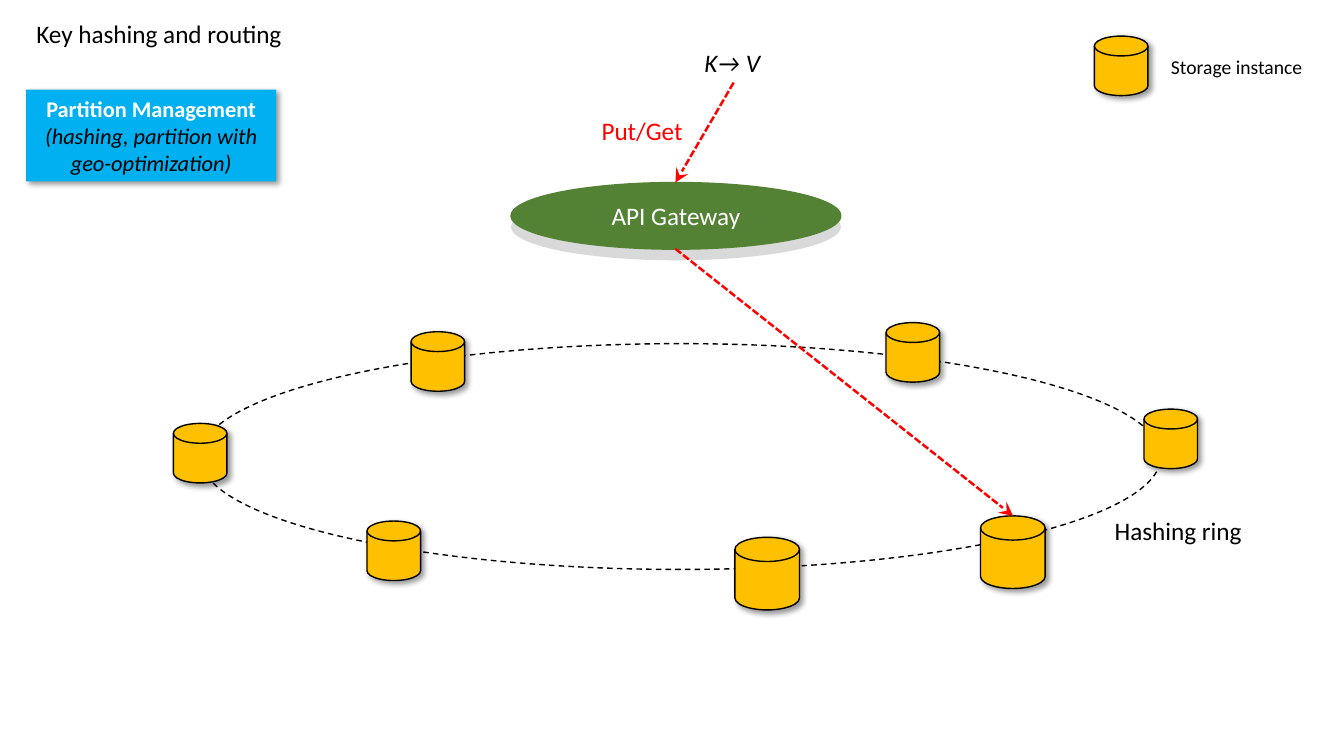
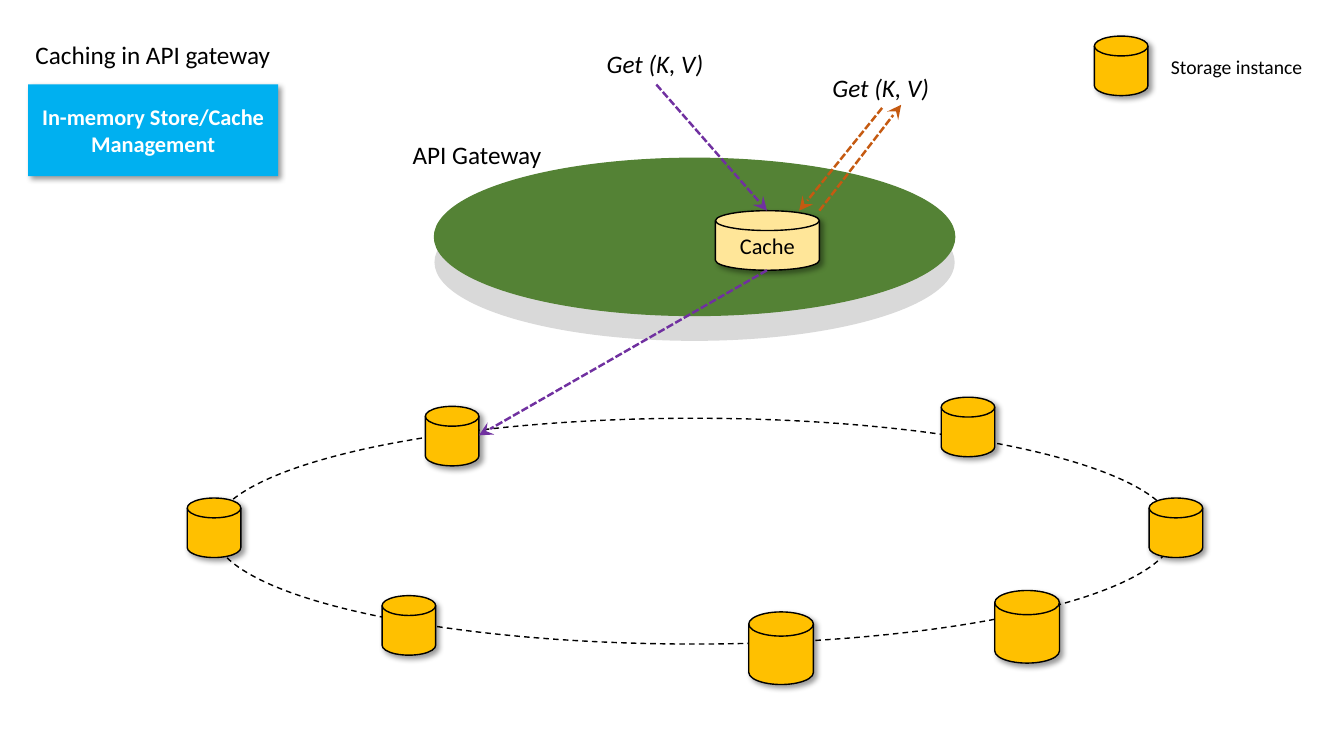
from pptx import Presentation
from pptx.dml.color import RGBColor
from pptx.enum.dml import MSO_LINE
from pptx.enum.shapes import MSO_CONNECTOR, MSO_SHAPE
from pptx.enum.text import MSO_ANCHOR, MSO_AUTO_SIZE, PP_ALIGN
from pptx.oxml import parse_xml
from pptx.oxml.ns import nsdecls, qn
from pptx.util import Cm, Pt

BLACK = RGBColor(0x00, 0x00, 0x00)
WHITE = RGBColor(0xFF, 0xFF, 0xFF)
RED = RGBColor(0xFF, 0x00, 0x00)
PURPLE = RGBColor(0x70, 0x30, 0xA0)
ORANGE = RGBColor(0xC5, 0x5A, 0x11)
GOLD = RGBColor(0xFF, 0xC0, 0x00)
CREAM = RGBColor(0xFF, 0xE6, 0x99)
GREEN = RGBColor(0x54, 0x82, 0x35)
GREY = RGBColor(0xD9, 0xD9, 0xD9)
BLUE = RGBColor(0x00, 0xB0, 0xF0)

FONT = "Calibri"
DISK = MSO_SHAPE.FLOWCHART_MAGNETIC_DISK
SMALL_DISK = (1.35, 1.5)
LARGE_DISK = (1.63, 1.83)
RING_SIZE = (24.23, 5.69)
BOX_SIZE = (6.3, 2.31)
LABEL_HEIGHT = 1.02
SHADOW = (
    f'<a:outerShdw {nsdecls("a")} blurRad="50800" dist="38100" dir="2700000" algn="tl" rotWithShape="0">'
    '<a:srgbClr val="000000"><a:alpha val="40000"/></a:srgbClr></a:outerShdw>'
)
ARROWHEAD = f'<a:tailEnd {nsdecls("a")} type="stealth" w="lg" len="lg"/>'


def draw(slide, kind, box, fill=None, line=None, shadow=False):
    shape = slide.shapes.add_shape(kind, *map(Cm, box))
    shape.shadow.inherit = False
    if fill is None:
        shape.fill.background()
    else:
        shape.fill.solid()
        shape.fill.fore_color.rgb = fill
    if line is None:
        shape.line.fill.background()
    else:
        shape.line.color.rgb = line
        shape.line.width = Pt(1)
    if shadow:
        shape.element.spPr.find(qn("a:effectLst")).append(parse_xml(SHADOW))
    return shape


def write(shape, text, size, color, align=PP_ALIGN.CENTER, anchor=MSO_ANCHOR.MIDDLE, bold=False, italic=False):
    frame = shape.text_frame
    frame.text = text
    frame.vertical_anchor = anchor
    for paragraph in frame.paragraphs:
        paragraph.alignment = align
        for run in paragraph.runs:
            font = run.font
            font.name, font.size, font.color.rgb = FONT, Pt(size), color
            font.bold, font.italic = bold, italic


SLIDES = [
    {
        "title": ("Key hashing and routing", 0.66, 0.33, 6.78),
        "box": (0.66, 2.26),
        "box_text": "Partition Management\n(hashing, partition with geo-optimization)",
        "gateway": (12.88, 4.6, 8.31, 1.68),
        "gateway_drop": 0.28,
        "gateway_text": "API Gateway",
        "ring": (5.03, 8.66),
        "small_disks": [(10.36, 8.36), (22.33, 8.13), (9.25, 13.13), (4.37, 10.67), (28.83, 10.31)],
        "large_disks": [(18.52, 13.54), (24.71, 13.0)],
        "cache": None,
        "arrows": [
            (RED, 18.49, 2.08, 17.02, 4.6),
            (RED, 17.02, 6.27, 25.53, 13.0),
        ],
        "labels": [
            ("Hashing ring", 27.84, 12.85, 3.76, 18, BLACK, False),
            ("K→ V", 17.5, 1.07, 1.98, 18, BLACK, True),
            ("Put/Get", 14.91, 2.77, 2.59, 18, RED, False),
        ],
    },
    {
        "title": ("Caching in API gateway", 0.64, 0.86, 6.5),
        "box": (0.71, 2.13),
        "box_text": "In-memory Store/Cache Management",
        "gateway": (10.95, 3.99, 13.11, 3.96),
        "gateway_drop": 0.64,
        "gateway_text": "",
        "ring": (5.38, 10.54),
        "small_disks": [(10.72, 10.24), (23.72, 10.01), (9.63, 15.01), (4.72, 12.55), (28.96, 12.55)],
        "large_disks": [(18.87, 15.42), (25.07, 14.88)],
        "cache": (18.03, 5.31, 2.62, 1.5),
        "arrows": [
            (PURPLE, 16.54, 2.13, 19.33, 5.31),
            (PURPLE, 19.33, 6.81, 12.07, 10.97),
            (ORANGE, 22.23, 2.72, 20.14, 5.31),
            (ORANGE, 20.65, 5.31, 22.71, 2.64),
        ],
        "labels": [
            ("API Gateway", 10.15, 3.38, 4.0, 18, BLACK, False),
            ("Get (K, V)", 15.04, 1.09, 2.97, 18, BLACK, True),
            ("Get (K, V)", 20.73, 1.7, 2.97, 18, BLACK, True),
        ],
    },
]
LEGEND_DISK = (27.58, 0.91)
LEGEND_LABEL = ("Storage instance", 29.26, 1.27, 3.86, 14, BLACK, False)

presentation = Presentation()
presentation.slide_width = Cm(33.87)
presentation.slide_height = Cm(19.05)

for content in SLIDES:
    slide = presentation.slides.add_slide(presentation.slide_layouts[5])

    title = slide.shapes.title
    text, left, top, width = content["title"]
    title.left, title.top, title.width, title.height = map(Cm, (left, top, width, LABEL_HEIGHT))
    write(title, text, 18, BLACK, PP_ALIGN.LEFT, MSO_ANCHOR.TOP)
    title.text_frame.word_wrap = False
    title.text_frame.auto_size = MSO_AUTO_SIZE.NONE

    ring = draw(slide, MSO_SHAPE.OVAL, content["ring"] + RING_SIZE, line=BLACK)
    ring.line.dash_style = MSO_LINE.DASH

    left, top, width, height = content["gateway"]
    draw(slide, MSO_SHAPE.OVAL, (left, top + content["gateway_drop"], width, height), GREY)
    gateway = draw(slide, MSO_SHAPE.OVAL, content["gateway"], GREEN, GREEN)
    if content["gateway_text"]:
        write(gateway, content["gateway_text"], 18, WHITE)

    box = draw(slide, MSO_SHAPE.RECTANGLE, content["box"] + BOX_SIZE, BLUE, shadow=True)
    write(box, content["box_text"], 16, WHITE, bold=True)
    for paragraph in box.text_frame.paragraphs[1:]:
        for run in paragraph.runs:
            run.font.color.rgb = BLACK
            run.font.bold, run.font.italic = False, True

    for place in content["small_disks"] + [LEGEND_DISK]:
        draw(slide, DISK, place + SMALL_DISK, GOLD, BLACK, shadow=True)
    for place in content["large_disks"]:
        draw(slide, DISK, place + LARGE_DISK, GOLD, BLACK, shadow=True)
    if content["cache"]:
        cache = draw(slide, DISK, content["cache"], CREAM, BLACK, shadow=True)
        write(cache, "Cache", 16, BLACK)

    for color, *ends in content["arrows"]:
        arrow = slide.shapes.add_connector(MSO_CONNECTOR.STRAIGHT, *map(Cm, ends))
        arrow.line.color.rgb = color
        arrow.line.width = Pt(1.75)
        arrow.line.dash_style = MSO_LINE.SQUARE_DOT
        properties = arrow.element.spPr
        properties.find(qn("a:ln")).append(parse_xml(ARROWHEAD))
        properties.append(parse_xml(f'<a:effectLst {nsdecls("a")}/>'))

    for text, left, top, width, size, color, italic in content["labels"] + [LEGEND_LABEL]:
        label = slide.shapes.add_textbox(*map(Cm, (left, top, width, LABEL_HEIGHT)))
        write(label, text, size, color, PP_ALIGN.LEFT, MSO_ANCHOR.TOP, italic=italic)
        label.text_frame.word_wrap = False
        label.text_frame.auto_size = MSO_AUTO_SIZE.SHAPE_TO_FIT_TEXT

presentation.save("out.pptx")
